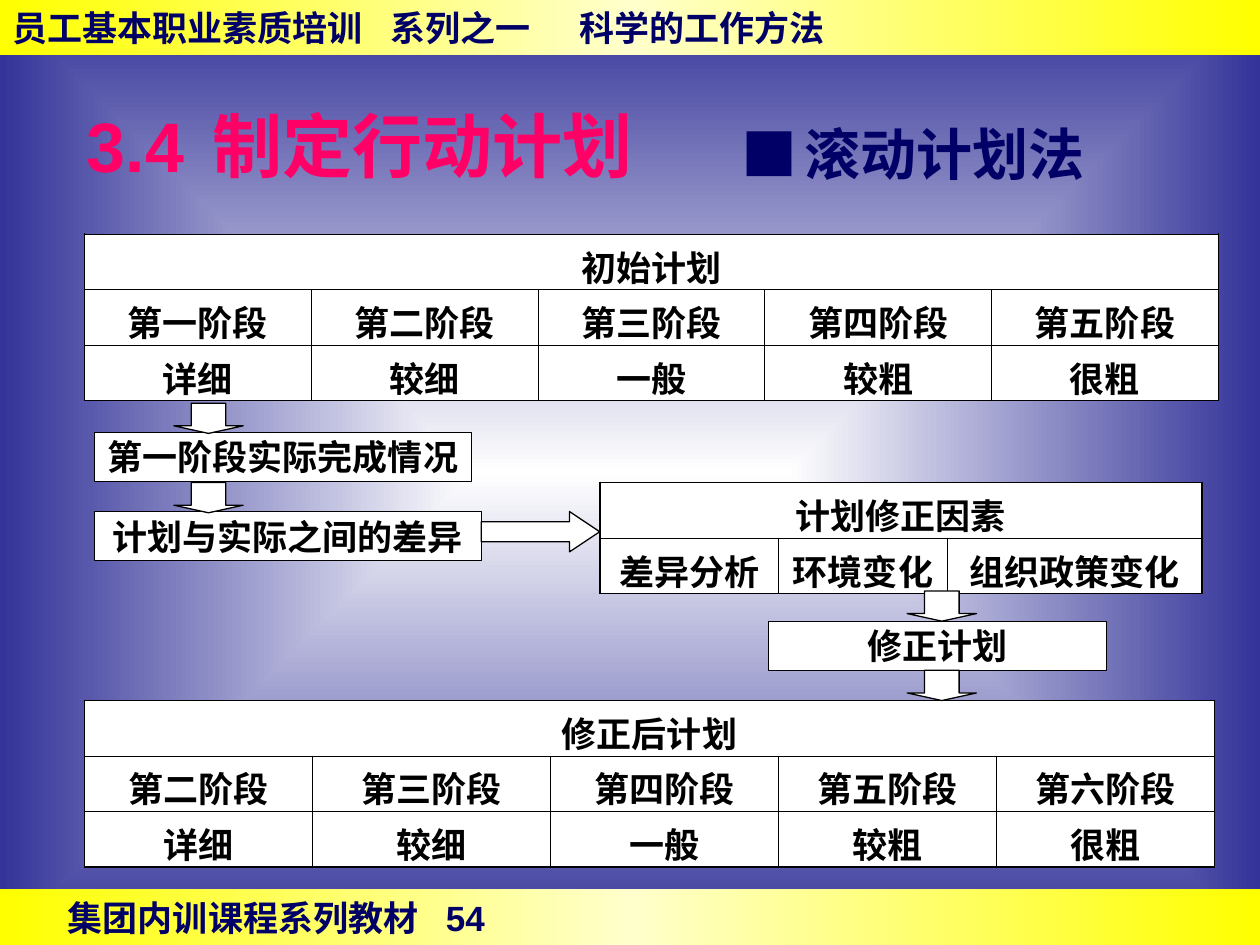
"""Build the rolling-plan slide of a staff training course."""
from pptx import Presentation
from pptx.dml.color import RGBColor
from pptx.enum.shapes import MSO_SHAPE
from pptx.enum.text import MSO_ANCHOR, PP_ALIGN
from pptx.oxml import parse_xml
from pptx.oxml.ns import nsdecls, qn
from pptx.oxml.xmlchemy import OxmlElement
from pptx.util import Inches, Pt

COLORS = {
    "white": "FFFFFF", "black": "000000", "navy": "000066", "pink": "FF0066",
    "edge": "333399", "yellow": "FFFF00", "cream": "FFFFCC",
}
LATIN, CHINESE = "Arial", "Noto Sans CJK SC"
CENTRAL = '<a:path path="rect"><a:fillToRect l="50000" t="50000" r="50000" b="50000"/></a:path>'
ACROSS = '<a:lin ang="10800000" scaled="0"/>'
ROW_HEIGHT = 0.44
ARROW_SIZE = (0.55, 0.24)
OUTER, INNER = 1.08, 0.45


def rgb(color):
    return RGBColor.from_string(COLORS[color])


def set_gradient(parent, fill, colors, direction):
    fill.gradient()
    stops = "".join(
        f'<a:gs pos="{100000 * i // (len(colors) - 1)}"><a:srgbClr val="{COLORS[c]}"/></a:gs>'
        for i, c in enumerate(colors))
    plain = next(parent.iter(qn("a:gradFill")))
    plain.getparent().replace(plain, parse_xml(
        f'<a:gradFill {nsdecls("a")} rotWithShape="1"><a:gsLst>{stops}</a:gsLst>{direction}</a:gradFill>'))


def add_run(paragraph, text, size=20, color="black", latin=LATIN):
    run = paragraph.add_run()
    run.text = text
    run.font.size, run.font.bold, run.font.name = Pt(size), True, latin
    run.font.color.rgb = rgb(color)
    east_asian = OxmlElement("a:ea")
    east_asian.set("typeface", CHINESE)
    run.font._element.find(qn("a:latin")).addnext(east_asian)


def set_tabs(paragraph, positions, indent=0):
    properties = paragraph._p.get_or_add_pPr()
    properties.set("marL", str(Inches(indent)))
    properties.set("indent", "0")
    tab_list = OxmlElement("a:tabLst")
    for position in positions:
        tab = OxmlElement("a:tab")
        tab.set("pos", str(Inches(position)))
        tab.set("algn", "l")
        tab_list.append(tab)
    properties.append(tab_list)


def add_block(slide, preset, at):
    block = slide.shapes.add_shape(preset, *map(Inches, at))
    block.shadow.inherit = False
    block.fill.solid()
    block.fill.fore_color.rgb = rgb("white")
    block.line.color.rgb = rgb("black")
    block.line.width = Pt(0.75)
    return block


def add_band(slide, top, text, tabs, indent=0):
    band = add_block(slide, MSO_SHAPE.RECTANGLE, (0, top, 10, 0.44))
    set_gradient(band._element, band.fill, ("yellow", "cream", "yellow"), ACROSS)
    band.line.fill.background()
    paragraph = band.text_frame.paragraphs[0]
    paragraph.alignment = PP_ALIGN.LEFT
    set_tabs(paragraph, tabs, indent)
    add_run(paragraph, text, color="navy")


def add_heading(slide, at, tab, runs, line_spacing=1.0):
    frame = slide.shapes.add_textbox(*map(Inches, at)).text_frame
    frame.word_wrap = True
    frame.vertical_anchor = MSO_ANCHOR.MIDDLE
    paragraph = frame.paragraphs[0]
    paragraph.line_spacing = line_spacing
    set_tabs(paragraph, [tab])
    for run in runs:
        add_run(paragraph, *run)


def add_step(slide, at, text):
    step = add_block(slide, MSO_SHAPE.RECTANGLE, at)
    step.text_frame.word_wrap = False
    paragraph = step.text_frame.paragraphs[0]
    paragraph.alignment = PP_ALIGN.CENTER
    add_run(paragraph, text)


def add_arrow(slide, at, rotation=0, head=0.25):
    arrow = add_block(slide, MSO_SHAPE.DOWN_ARROW, at)
    arrow.adjustments[0], arrow.adjustments[1] = 0.5, head
    arrow.rotation = rotation


def set_borders(cell, widths):
    properties = cell._tc.get_or_add_tcPr()
    for index, (side, width) in enumerate(widths.items()):
        properties.insert(index, parse_xml(
            f'<a:ln{side} {nsdecls("a")} w="{Pt(width)}"><a:solidFill>'
            f'<a:srgbClr val="{COLORS["black"]}"/></a:solidFill></a:ln{side}>'))


def add_plan(slide, left, top, widths, title, rows):
    last_row, last_column = len(rows), len(widths) - 1
    table = slide.shapes.add_table(
        last_row + 1, len(widths), Inches(left), Inches(top),
        Inches(sum(widths)), Inches(ROW_HEIGHT * (last_row + 1))).table
    for column, width in zip(table.columns, widths):
        column.width = Inches(width)
    for row in table.rows:
        row.height = Inches(ROW_HEIGHT)
    table.cell(0, 0).merge(table.cell(0, last_column))
    for r, labels in enumerate([[title] + [""] * last_column, *rows]):
        for c, label in enumerate(labels):
            cell = table.cell(r, c)
            cell.fill.solid()
            cell.fill.fore_color.rgb = rgb("white")
            set_borders(cell, {
                "L": OUTER if c == 0 else INNER,
                "R": OUTER if c == last_column or r == 0 else INNER,
                "T": OUTER if r == 0 else INNER,
                "B": OUTER if r == last_row else INNER,
            })
            if label:
                paragraph = cell.text_frame.paragraphs[0]
                paragraph.alignment = PP_ALIGN.CENTER
                add_run(paragraph, label)


def main():
    deck = Presentation()
    deck.slide_width, deck.slide_height = Inches(10), Inches(7.5)
    slide = deck.slides.add_slide(deck.slide_layouts[6])
    set_gradient(slide._element, slide.background.fill, ("white", "edge"), CENTRAL)

    add_band(slide, 7.06, "集团内训课程系列教材\t54", [5.35], indent=0.44)
    add_band(slide, 0, "员工基本职业素质培训\t系列之一\t科学的工作方法", [4.42, 7.17])
    add_heading(slide, (0.59, 0.91, 5.35, 0.47), 1.37, [("3.4\t制定行动计划", 40, "pink")])
    add_heading(slide, (5.79, 0.84, 3.74, 0.69), 0.65,
                [("■\t", 32, "navy", CHINESE), ("滚动计划法", 32, "navy")], 1.1)

    stages = [f"第{number}阶段" for number in "一二三四五六"]
    details = ["详细", "较细", "一般", "较粗", "很粗"]
    add_plan(slide, 0.67, 1.86, [1.8] * 5, "初始计划", [stages[:5], details])
    add_plan(slide, 0.67, 5.56, [1.81, 1.89, 1.81, 1.73, 1.73], "修正后计划", [stages[1:], details])
    add_plan(slide, 4.76, 3.83, [1.42, 1.34, 2.02], "计划修正因素",
             [["差异分析", "环境变化", "组织政策变化"]])

    add_step(slide, (0.75, 4.06, 3.07, 0.39), "计划与实际之间的差异")
    add_step(slide, (0.75, 3.43, 2.99, 0.39), "第一阶段实际完成情况")
    add_step(slide, (6.1, 4.93, 2.68, 0.39), "修正计划")
    for left, top in [(1.38, 3.2), (7.2, 5.32), (7.2, 4.69), (1.38, 3.83)]:
        add_arrow(slide, (left, top, *ARROW_SIZE))
    add_arrow(slide, (4.13, 3.75, 0.32, 0.94), rotation=270, head=0.75)
    deck.save("out.pptx")


if __name__ == "__main__":
    main()
